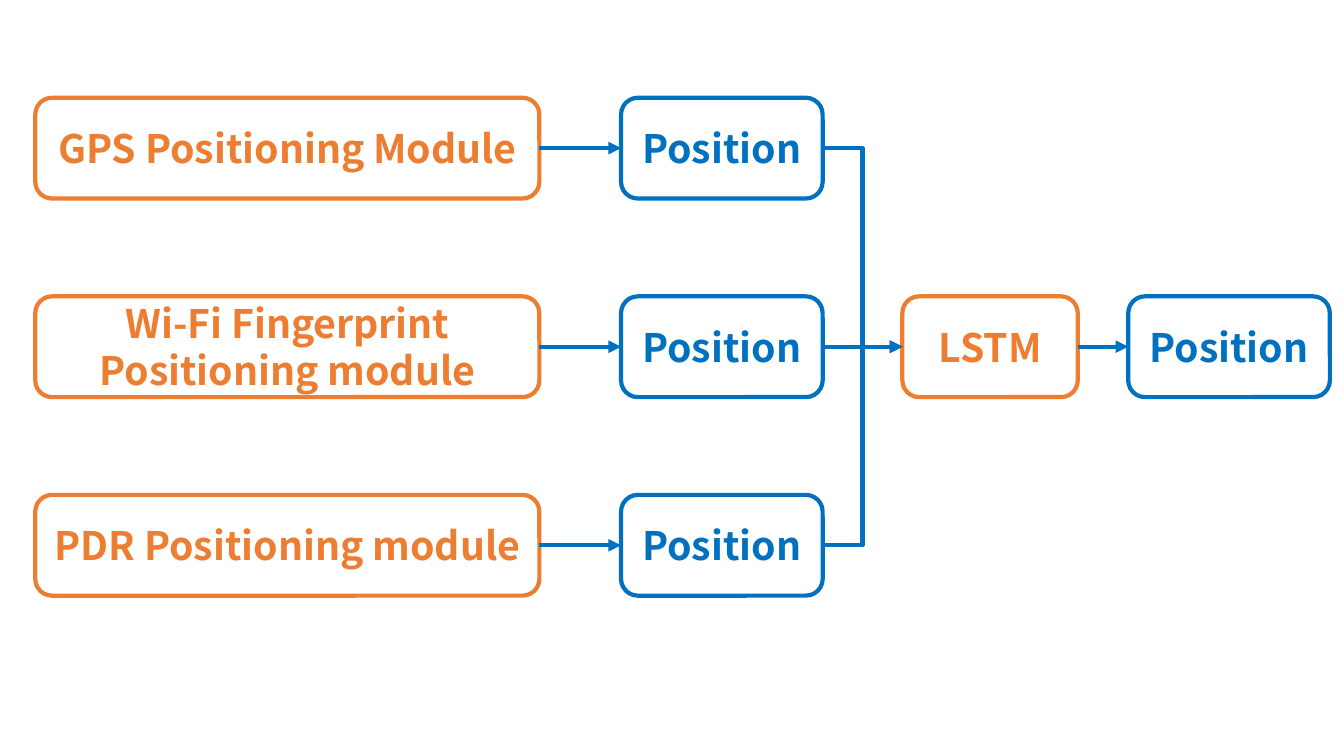
from dataclasses import dataclass

from lxml.etree import SubElement
from pptx import Presentation
from pptx.dml.color import RGBColor
from pptx.enum.shapes import MSO_CONNECTOR as CONN, MSO_SHAPE as SHAPE
from pptx.enum.text import MSO_ANCHOR as ANCHOR, PP_ALIGN as ALIGN
from pptx.oxml.ns import qn
from pptx.shapes.autoshape import Shape
from pptx.util import Inches, Pt

ORANGE, BLUE, WHITE = "ED7D31", "0070C0", "FFFFFF"
LINE_WIDTH = Pt(3)
FONT = {"name": "Noto Sans CJK SC", "size": Pt(28), "bold": True}
ROW_TOPS = [0.97 + 1.97 * i for i in range(3)]
BOX_HEIGHT = 1
LEFT_SITE, RIGHT_SITE = 1, 3


@dataclass
class Box:
    text: str
    left: float
    top: float
    width: float
    color: str


def rgb(value: str) -> RGBColor:
    return RGBColor.from_string(value)


def add_box(shapes, box: Box) -> Shape:
    sp = shapes.add_shape(SHAPE.ROUNDED_RECTANGLE, Inches(box.left), Inches(box.top),
                          Inches(box.width), Inches(BOX_HEIGHT))
    sp.shadow.inherit = False
    sp.fill.solid()
    sp.fill.fore_color.rgb = rgb(WHITE)
    sp.line.color.rgb = rgb(box.color)
    sp.line.width = LINE_WIDTH
    tf = sp.text_frame
    tf.word_wrap = True
    tf.vertical_anchor = ANCHOR.MIDDLE
    p = tf.paragraphs[0]
    p.alignment = ALIGN.CENTER
    r = p.add_run()
    r.text = box.text
    for name, value in FONT.items():
        setattr(r.font, name, value)
    r.font.color.rgb = rgb(box.color)
    return sp


def add_arrow(shapes, start: Shape, end: Shape) -> None:
    """Join two boxes, with an elbow when they sit in different rows."""
    kind = CONN.STRAIGHT if start.top == end.top else CONN.ELBOW
    cxn = shapes.add_connector(kind, start.left + start.width, start.top + start.height // 2,
                               end.left, end.top + end.height // 2)
    cxn.begin_connect(start, RIGHT_SITE)
    cxn.end_connect(end, LEFT_SITE)
    cxn.line.color.rgb = rgb(BLUE)
    cxn.line.width = LINE_WIDTH
    SubElement(cxn.line._get_or_add_ln(), qn("a:tailEnd"), type="triangle")
    SubElement(cxn._element.spPr, qn("a:effectLst"))


def main() -> None:
    prs = Presentation()
    prs.slide_width, prs.slide_height = Inches(13.33), Inches(7.5)
    shapes = prs.slides.add_slide(prs.slide_layouts[6]).shapes

    # Positioning modules and the position each one yields
    names = ["GPS Positioning Module", "Wi-Fi Fingerprint Positioning module",
             "PDR Positioning module"]
    modules = [add_box(shapes, Box(name, 0.35, top, 5, ORANGE))
               for name, top in zip(names, ROW_TOPS)]
    positions = [add_box(shapes, Box("Position", 6.16, top, 2, BLUE)) for top in ROW_TOPS]

    # Fusion network and final position
    lstm = add_box(shapes, Box("LSTM", 8.95, ROW_TOPS[1], 1.74, ORANGE))
    result = add_box(shapes, Box("Position", 11.19, ROW_TOPS[1], 2, BLUE))

    # Arrows
    for module, position in zip(modules, positions):
        add_arrow(shapes, module, position)
    for position in positions:
        add_arrow(shapes, position, lstm)
    add_arrow(shapes, lstm, result)

    prs.save("out.pptx")


if __name__ == "__main__":
    main()
